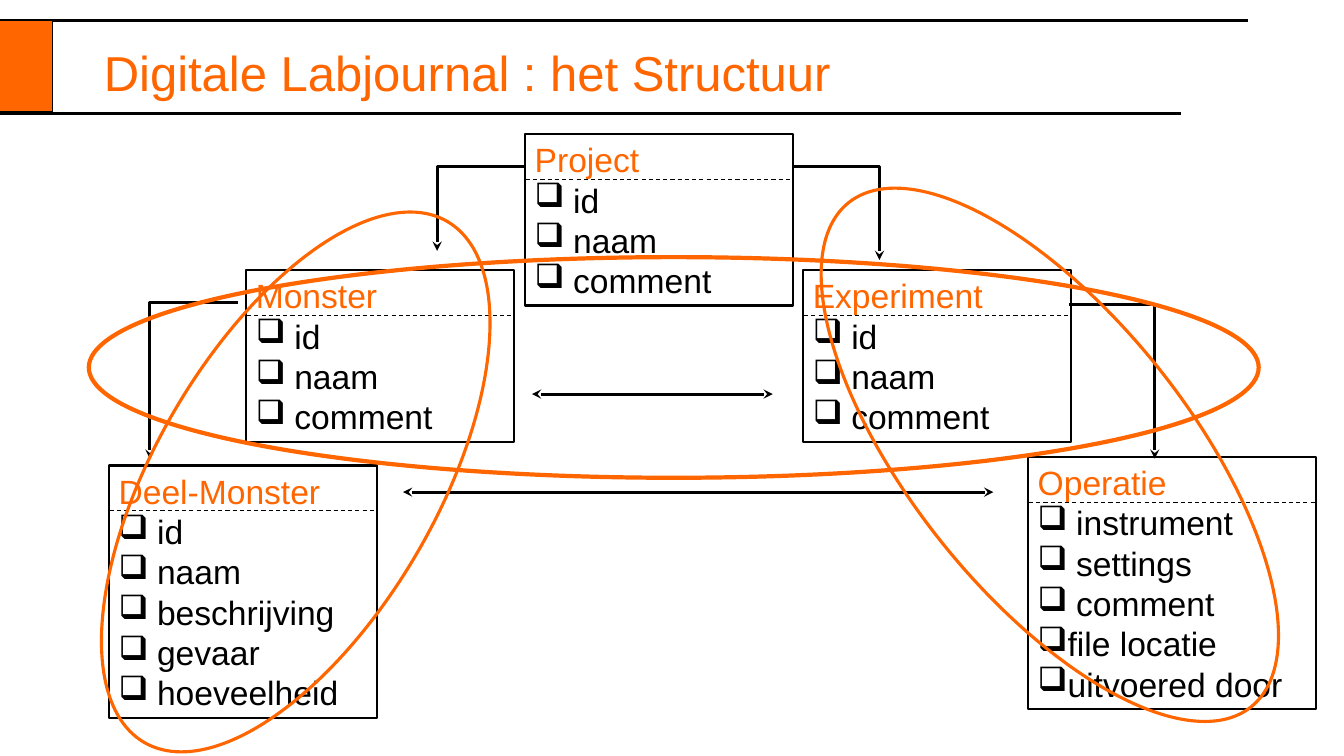
"""Builds the slide on the structure of the digital lab journal."""
from lxml.etree import SubElement
from pptx import Presentation
from pptx.dml.color import RGBColor
from pptx.enum.dml import MSO_LINE
from pptx.enum.shapes import MSO_CONNECTOR, MSO_SHAPE
from pptx.enum.text import MSO_ANCHOR, PP_ALIGN
from pptx.oxml.ns import qn
from pptx.util import Cm, Pt

COLOURS = {"accent": "FF6600", "ink": "000000"}


class Page:
    font = "Arial"
    card_width = 6.76
    heading_height = 1.14
    loose_indent, tight_indent = 0.97, 0.75

    def __init__(self, slide):
        self.shapes = slide.shapes

    def colour(self, name):
        return RGBColor.from_string(COLOURS[name])

    def outline(self, shape, colour, width):
        shape.line.color.rgb = self.colour(colour)
        shape.line.width = Pt(width)

    def style(self, paragraph, text, size, colour):
        paragraph.text = text
        paragraph.font.name = self.font
        paragraph.font.size = Pt(size)
        paragraph.font.color.rgb = self.colour(colour)

    def arrowheads(self, shape, *ends):
        for end in ends:
            SubElement(shape.line._get_or_add_ln(), qn(f"a:{end}"), type="stealth")

    def title(self, text, left, top, width, height):
        frame = self.shapes.add_textbox(Cm(left), Cm(top), Cm(width), Cm(height)).text_frame
        frame.word_wrap = True
        frame.vertical_anchor = MSO_ANCHOR.MIDDLE
        paragraph = frame.paragraphs[0]
        paragraph.alignment = PP_ALIGN.CENTER
        self.style(paragraph, text, 35, "accent")

    def line(self, left, right, height, width=2.25, dashed=False, ends=()):
        line = self.shapes.add_connector(
            MSO_CONNECTOR.STRAIGHT, Cm(left), Cm(height), Cm(right), Cm(height))
        self.outline(line, "ink", width)
        if dashed:
            line.line.dash_style = MSO_LINE.DASH
        self.arrowheads(line, *ends)
        SubElement(line._element.spPr, qn("a:effectLst"))

    def shape(self, kind, left, top, width, height, colour, weight, fill=None):
        shape = self.shapes.add_shape(kind, Cm(left), Cm(top), Cm(width), Cm(height))
        shape.shadow.inherit = False
        if fill:
            shape.fill.solid()
            shape.fill.fore_color.rgb = self.colour(fill)
        else:
            shape.fill.background()
        self.outline(shape, colour, weight)
        return shape

    def ring(self, left, top, width, height, weight=2.25, rotation=0):
        ring = self.shape(MSO_SHAPE.OVAL, left, top, width, height, "accent", weight)
        ring.rotation = rotation

    def elbow(self, start_x, start_y, end_x, end_y):
        builder = self.shapes.build_freeform(Cm(start_x), Cm(start_y))
        builder.add_line_segments(
            [(Cm(end_x), Cm(start_y)), (Cm(end_x), Cm(end_y))], close=False)
        elbow = builder.convert_to_shape()
        elbow.shadow.inherit = False
        elbow.fill.background()
        self.outline(elbow, "ink", 2.25)
        self.arrowheads(elbow, "tailEnd")

    def field(self, frame, text, indent):
        paragraph = frame.add_paragraph()
        paragraph.alignment = PP_ALIGN.LEFT
        properties = paragraph._p.get_or_add_pPr()
        properties.set("marL", str(Cm(indent)))
        properties.set("indent", str(-Cm(indent)))
        bullet_colour = SubElement(properties, qn("a:buClr"))
        SubElement(bullet_colour, qn("a:srgbClr"), val=COLOURS["ink"])
        SubElement(properties, qn("a:buChar"), char="❑")
        self.style(paragraph, text, 24, "ink")

    def card(self, heading, left, top, fields, tight_fields=(), width=card_width):
        height = 1.26 + 1.02 * (len(fields) + len(tight_fields))
        box = self.shape(MSO_SHAPE.RECTANGLE, left, top, width, height, "ink", 1.5)
        frame = box.text_frame
        frame.word_wrap = True
        frame.vertical_anchor = MSO_ANCHOR.MIDDLE
        paragraph = frame.paragraphs[0]
        paragraph.alignment = PP_ALIGN.LEFT
        self.style(paragraph, heading, 24, "accent")
        for text in fields:
            self.field(frame, text, self.loose_indent)
        for text in tight_fields:
            self.field(frame, text, self.tight_indent)
        self.line(left + 0.03, left + width - 0.03, top + self.heading_height, 0.75, dashed=True)


def main():
    deck = Presentation()
    deck.slide_width, deck.slide_height = Cm(33.88), Cm(19.05)
    page = Page(deck.slides.add_slide(deck.slide_layouts[6]))

    page.title("Digitale Labjournal : het Structuur", 1.4, 0.81, 20.78, 2.03)
    page.line(0, 29.77, 2.87)
    page.line(0, 31.45, 0.51)
    page.shape(MSO_SHAPE.RECTANGLE, 0, 0.51, 1.32, 2.31, "ink", 0.75, fill="accent")

    common = ["id", "naam", "comment"]
    page.card("Project", 13.23, 3.38, common)
    page.card("Experiment", 20.24, 6.81, common)
    page.card("Monster", 6.2, 6.81, common)
    page.card("Deel-Monster", 2.74, 11.73,
              ["id", "naam", "beschrijving", "gevaar", "hoeveelheid"])
    page.card("Operatie", 25.91, 11.51, ["instrument", "settings", "comment"],
              ["file locatie", "uitvoered door"], width=7.26)

    page.elbow(13.23, 4.19, 11.02, 6.32)
    page.elbow(20.02, 4.19, 22.17, 6.55)
    page.elbow(5.99, 7.62, 3.78, 11.56)
    page.elbow(26.95, 7.67, 29.11, 11.56)
    both_ends = ("headEnd", "tailEnd")
    page.line(13.41, 19.48, 9.93, ends=both_ends)
    page.line(10.16, 25.04, 12.4, ends=both_ends)

    page.ring(2.24, 6.48, 29.49, 5.56, weight=3)
    page.ring(3.91, 4.55, 7.09, 15.19, rotation=30.2)
    page.ring(22.96, 3.33, 7.01, 16.26, rotation=321.4)

    deck.save("out.pptx")


if __name__ == "__main__":
    main()
